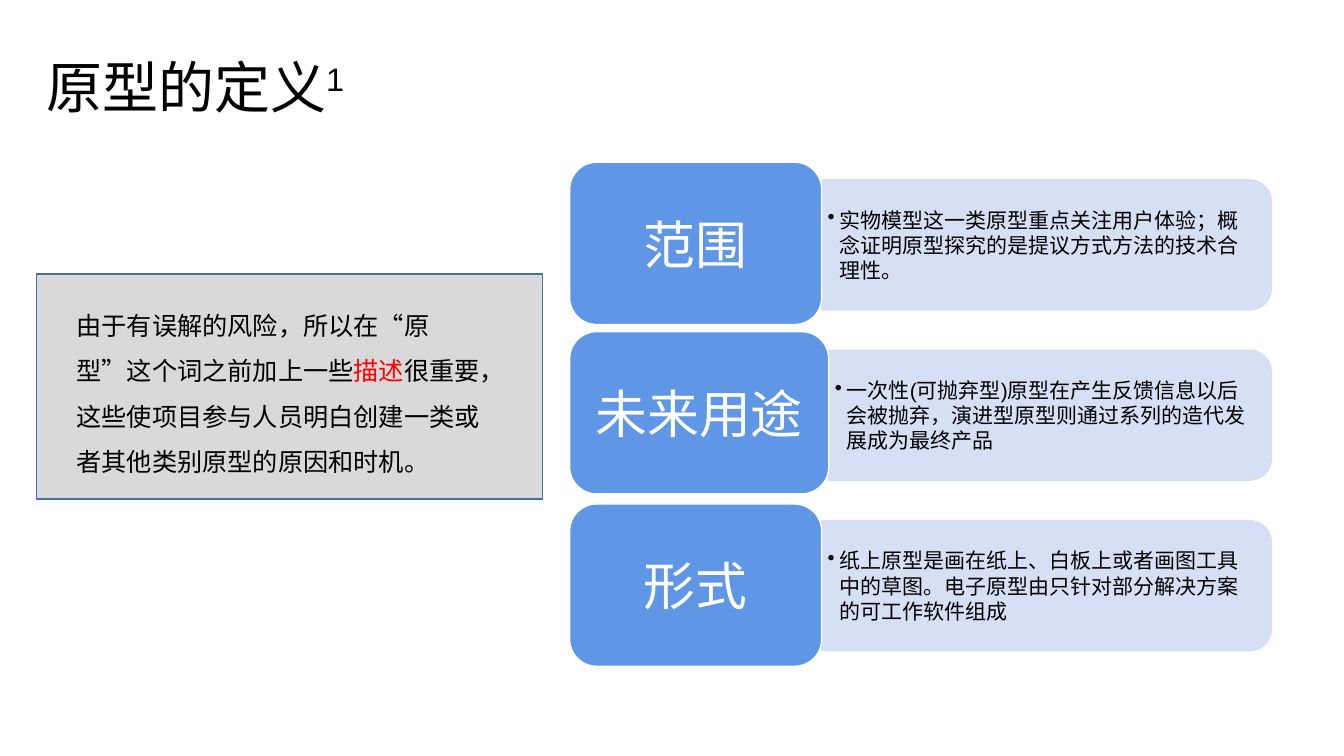
from pptx import Presentation
from pptx import util as u
from pptx.dml.color import RGBColor
from pptx.enum import lang, shapes, text
from pptx.oxml.ns import qn
from lxml import etree

BLACK = RGBColor(0x00, 0x00, 0x00)
WHITE = RGBColor(0xFF, 0xFF, 0xFF)
RED = RGBColor(0xFF, 0x00, 0x00)
GREY = RGBColor(0xD9, 0xD9, 0xD9)
NAVY = RGBColor(0x47, 0x6F, 0xAA)
BLUE = RGBColor(0x60, 0x96, 0xE6)
PALE = RGBColor(0xD2, 0xDD, 0xF5)


class SlideBuilder:
    font = "Arial"

    def __init__(self, slide):
        self.slide = slide

    def block(self, kind, left, top, width, height, fill, line, opacity=None):
        block = self.slide.shapes.add_shape(
            kind, *map(u.Inches, (left, top, width, height)))
        block.shadow.inherit = False
        block.fill.solid()
        block.fill.fore_color.rgb = fill
        block.line.color.rgb = line
        block.line.width = u.Pt(1)
        if opacity:
            for color in block._element.spPr.iter(qn("a:srgbClr")):
                etree.SubElement(color, qn("a:alpha")).set("val", str(opacity * 1000))
        return block

    def text_box(self, left, top, width, height):
        box = self.slide.shapes.add_textbox(
            *map(u.Inches, (left, top, width, height)))
        box.text_frame.word_wrap = True
        return box.text_frame

    def insets(self, frame, across, down):
        frame.margin_left = frame.margin_right = u.Inches(across)
        frame.margin_top = frame.margin_bottom = u.Inches(down)
        frame.vertical_anchor = text.MSO_ANCHOR.MIDDLE

    def run(self, paragraph, words, size, color=BLACK):
        run = paragraph.add_run()
        run.text = words
        run.font.name = self.font
        run.font.size = u.Pt(size)
        run.font.color.rgb = color
        run.font.language_id = lang.MSO_LANGUAGE_ID.SIMPLIFIED_CHINESE
        return run

    def label(self, words, top, width):
        label = self.block(shapes.MSO_SHAPE.ROUNDED_RECTANGLE,
                           LABEL_LEFT, top, width, 1.61, BLUE, WHITE)
        frame = label.text_frame
        self.insets(frame, 0.15, 0.08)
        paragraph = frame.paragraphs[0]
        paragraph.alignment = text.PP_ALIGN.CENTER
        self.run(paragraph, words, 37, WHITE)

    def detail(self, words, left, middle):
        # The panel is a tab turned a quarter, so its sides swap about its centre
        length, depth = DETAIL_RIGHT - left, 1.29
        centre = left + length / 2
        panel = self.block(shapes.MSO_SHAPE.ROUND_2_SAME_RECTANGLE,
                           centre - depth / 2, middle - length / 2,
                           depth, length, PALE, PALE, opacity=90)
        panel.rotation = 90
        frame = self.text_box(left, middle - 1.17 / 2, length - 0.06, 1.17)
        self.insets(frame, 0.06, 0.03)
        paragraph = frame.paragraphs[0]
        self.bullet(paragraph, 0.12)
        self.run(paragraph, words, 15)

    def bullet(self, paragraph, indent):
        props = paragraph._p.get_or_add_pPr()
        props.set("marL", str(u.Inches(indent)))
        props.set("indent", str(-u.Inches(indent)))
        etree.SubElement(props, qn("a:buChar")).set("char", "•")


LABEL_LEFT = 5.65
DETAIL_RIGHT = 12.61
FIRST_MIDDLE, ROW_PITCH = 2.43, 1.69
ASPECTS = [  # label, label top, label width, detail
    ("范围", 1.61, 2.5,
     "实物模型这一类原型重点关注用户体验；概念证明原型探究的是提议方式方法的技术合理性。"),
    ("未来用途", 3.29, 2.57,
     "一次性(可抛弃型)原型在产生反馈信息以后会被抛弃，演进型原型则通过系列的造代发展成为最终产品"),
    ("形式", 5, 2.5,
     "纸上原型是画在纸上、白板上或者画图工具中的草图。电子原型由只针对部分解决方案的可工作软件组成"),
]
REASON = [
    ("由于有误解的风险，所以在“原型”这个词之前加上一些", BLACK),
    ("描述", RED),
    ("很重要，这些使项目参与人员明白创建一类或者其他类别原型的原因和时机。", BLACK),
]


def main():
    deck = Presentation()
    deck.slide_width, deck.slide_height = u.Inches(13.33), u.Inches(7.5)
    page = SlideBuilder(deck.slides.add_slide(deck.slide_layouts[6]))

    # Grey panel behind the reason
    page.block(shapes.MSO_SHAPE.RECTANGLE, 0.36, 2.72, 5.02, 2.23, GREY, NAVY)

    # Three aspects of a prototype
    for row, (name, top, width, words) in enumerate(ASPECTS):
        page.detail(words, LABEL_LEFT + width, FIRST_MIDDLE + row * ROW_PITCH)
        page.label(name, top, width)

    # Title with its superscript
    title = page.text_box(0.36, 0.47, 3.95, 0.77).paragraphs[0]
    page.run(title, "原型的定义", 40)
    footnote = page.run(title, "1", 40)
    footnote.font._element.set("baseline", "30000")

    # Reason
    reason = page.text_box(0.66, 2.88, 4.43, 1.92).paragraphs[0]
    reason.line_spacing = 1.5
    for words, color in REASON:
        page.run(reason, words, 18, color)

    deck.save("out.pptx")


if __name__ == "__main__":
    main()
